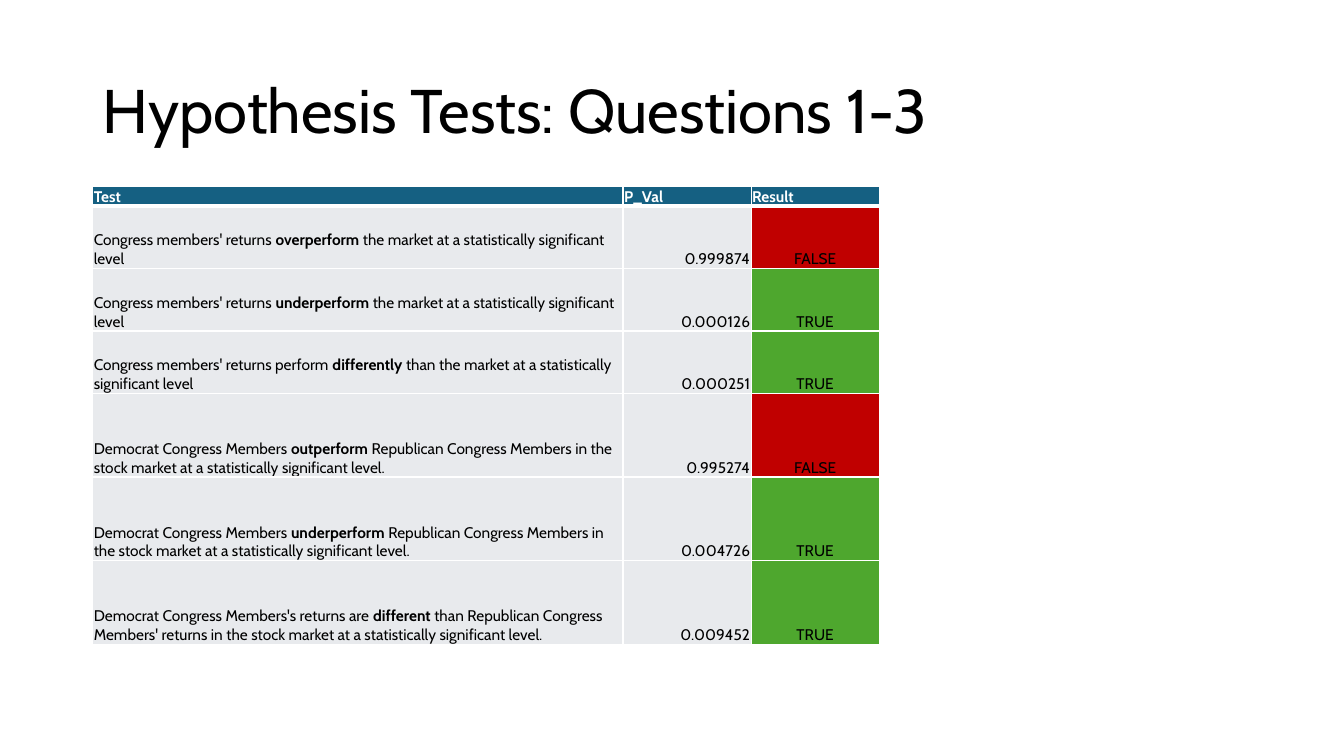
from lxml.etree import SubElement
from pptx import Presentation
from pptx.dml.color import RGBColor
from pptx.enum.text import MSO_ANCHOR, PP_ALIGN
from pptx.oxml.ns import qn
from pptx.util import Inches, Pt

SLIDE_WIDTH, SLIDE_HEIGHT = Inches(13.33), Inches(7.5)
LEFT = Inches(0.92)
FONT = "Cabin"
COLORS = {
    "text": "000000",
    "header": "156082",
    "header_text": "FFFFFF",
    "border": "FFFFFF",
    "body": "E8EAED",
    "FALSE": "C00000",
    "TRUE": "4EA72E",
}
COLUMN_WIDTHS = [5.26, 1.27, 1.27]
ROW_HEIGHTS = [0.11] + [0.62] * 3 + [0.83] * 3
ALIGNMENTS = [PP_ALIGN.LEFT, PP_ALIGN.RIGHT, PP_ALIGN.CENTER]
CELL_FORMAT = {
    "vertical_anchor": MSO_ANCHOR.BOTTOM,
    "margin_left": Inches(0.01),
    "margin_top": Inches(0.01),
    "margin_right": Inches(0.01),
    "margin_bottom": 0,
}
HEADINGS = ["Test", "P_Val", "Result"]
MARKET = "the market at a statistically significant level"
PARTY = "Republican Congress Members in the stock market at a statistically significant level."
TESTS = [
    (f"Congress members' returns *overperform* {MARKET}", "0.999874", "FALSE"),
    (f"Congress members' returns *underperform* {MARKET}", "0.000126", "TRUE"),
    (f"Congress members' returns perform *differently* than {MARKET}", "0.000251", "TRUE"),
    (f"Democrat Congress Members *outperform* {PARTY}", "0.995274", "FALSE"),
    (f"Democrat Congress Members *underperform* {PARTY}", "0.004726", "TRUE"),
    ("Democrat Congress Members's returns are *different* than Republican Congress "
     "Members' returns in the stock market at a statistically significant level.",
     "0.009452", "TRUE"),
]


def apply_format(target, values):
    for name, value in values.items():
        setattr(target, name, value)


def add_runs(paragraph, text, size, color, bold=False):
    """Write the text, with the parts between asterisks in bold."""
    for index, part in enumerate(text.split("*")):
        run = paragraph.add_run()
        run.text = part
        apply_format(run.font, {"name": FONT, "size": Pt(size), "bold": bold or index % 2 == 1})
        run.font.color.rgb = RGBColor.from_string(COLORS[color])


def add_title(slide, text):
    box = slide.shapes.add_textbox(LEFT, Inches(0.4), Inches(11.5), Inches(1.45))
    apply_format(box.text_frame, {"word_wrap": True, "vertical_anchor": MSO_ANCHOR.MIDDLE})
    paragraph = box.text_frame.paragraphs[0]
    paragraph.line_spacing = 0.9
    add_runs(paragraph, text, 44, "text")


def set_borders(cell, bottom_width, top_width):
    """Draw the four sides; call before the fill, which must follow them in the XML."""
    properties = cell._tc.get_or_add_tcPr()
    widths = {"lnL": 1, "lnR": 1, "lnT": top_width, "lnB": bottom_width}
    for side, width in widths.items():
        line = SubElement(properties, qn(f"a:{side}"), w=str(Pt(width)))
        fill = SubElement(line, qn("a:solidFill"))
        SubElement(fill, qn("a:srgbClr"), val=COLORS["border"])


def fill_cell(cell, text, alignment, fill, color="text", bold=False, bottom=1, top=1):
    apply_format(cell, CELL_FORMAT)
    set_borders(cell, bottom, top)
    cell.fill.solid()
    cell.fill.fore_color.rgb = RGBColor.from_string(COLORS[fill])
    paragraph = cell.text_frame.paragraphs[0]
    paragraph.alignment = alignment
    add_runs(paragraph, text, 11, color, bold)


def add_results_table(slide):
    table = slide.shapes.add_table(
        len(ROW_HEIGHTS), len(COLUMN_WIDTHS), LEFT, Inches(1.85),
        Inches(sum(COLUMN_WIDTHS)), Inches(sum(ROW_HEIGHTS)),
    ).table
    apply_format(table, {"first_row": True, "horz_banding": False})
    for column, width in zip(table.columns, COLUMN_WIDTHS):
        column.width = Inches(width)
    for row, height in zip(table.rows, ROW_HEIGHTS):
        row.height = Inches(height)
    for column, heading in enumerate(HEADINGS):
        fill_cell(table.cell(0, column), heading, PP_ALIGN.LEFT, "header",
                  "header_text", bold=True, bottom=3)
    for row, test in enumerate(TESTS, start=1):
        fills = ["body", "body", test[-1]]
        for column, text in enumerate(test):
            fill_cell(table.cell(row, column), text, ALIGNMENTS[column], fills[column],
                      top=3 if row == 1 else 1)


def main():
    presentation = Presentation()
    apply_format(presentation, {"slide_width": SLIDE_WIDTH, "slide_height": SLIDE_HEIGHT})
    slide = presentation.slides.add_slide(presentation.slide_layouts[6])
    add_title(slide, "Hypothesis Tests: Questions 1-3")
    add_results_table(slide)
    presentation.save("out.pptx")


if __name__ == "__main__":
    main()
